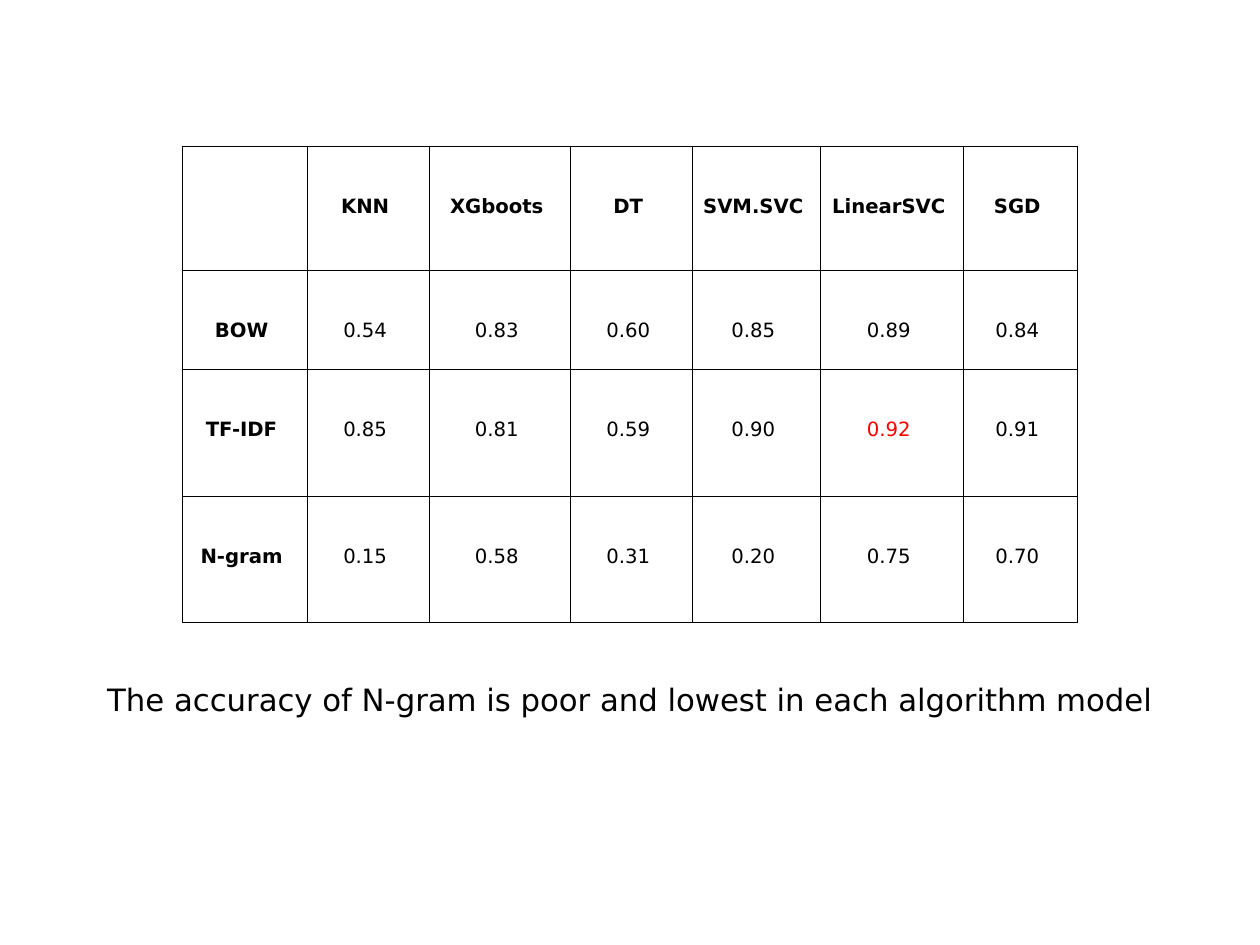
from dataclasses import dataclass

from lxml.etree import SubElement
from pptx import Presentation
from pptx.dml.color import RGBColor as Rgb
from pptx.enum.text import MSO_ANCHOR as Anchor, PP_ALIGN as Align
from pptx.oxml.ns import qn
from pptx.util import Pt


@dataclass(frozen=True)
class Theme:
    """Colours, font and type sizes of the slide."""
    font: str = "DejaVu Sans"
    ink: str = "000000"
    best: str = "FF0000"
    paper: str = "FFFFFF"
    cell_size: int = 16
    caption_size: int = 25
    rule: int = 1


THEME = Theme()
MODELS = ["KNN", "XGboots", "DT", "SVM.SVC", "LinearSVC", "SGD"]
SCORES = {
    "BOW": [0.54, 0.83, 0.60, 0.85, 0.89, 0.84],
    "TF-IDF": [0.85, 0.81, 0.59, 0.90, 0.92, 0.91],
    "N-gram": [0.15, 0.58, 0.31, 0.20, 0.75, 0.70],
}
COLUMN_WIDTHS = [101.5, 99.4, 114.5, 99.4, 103.7, 116.6, 92.2]
ROW_HEIGHTS = [100.8, 80.6, 103, 103]
CAPTION = "The accuracy of N-gram is poor and lowest in each algorithm model"


def set_all(target, values):
    """Set each named attribute of the target."""
    for name, value in values.items():
        setattr(target, name, value)


def write(frame, text, size, color, bold=False):
    """Write one centred line into a text frame."""
    para = frame.paragraphs[0]
    para.alignment = Align.CENTER
    span = para.add_run()
    span.text = text
    set_all(span.font, {"name": THEME.font, "size": Pt(size), "bold": bold})
    span.font.color.rgb = Rgb.from_string(color)


def format_cell(cell):
    """Give a cell its borders, fill and margins."""
    properties = cell._tc.get_or_add_tcPr()
    for side in ("a:lnL", "a:lnR", "a:lnT", "a:lnB"):
        line = SubElement(properties, qn(side), w=str(Pt(THEME.rule)))
        fill = SubElement(line, qn("a:solidFill"))
        SubElement(fill, qn("a:srgbClr"), val=THEME.ink)
    cell.fill.solid()
    cell.fill.fore_color.rgb = Rgb.from_string(THEME.paper)
    set_all(cell, {
        "margin_left": Pt(4), "margin_right": Pt(9.5),
        "margin_top": Pt(40), "margin_bottom": Pt(4),
        "vertical_anchor": Anchor.TOP,
    })


def add_score_table(page, left, top):
    """Add the accuracy table with its best score marked."""
    table = page.shapes.add_table(
        len(ROW_HEIGHTS), len(COLUMN_WIDTHS), Pt(left), Pt(top),
        Pt(sum(COLUMN_WIDTHS)), Pt(sum(ROW_HEIGHTS))).table
    set_all(table, {"first_row": False, "horz_banding": False})
    for column, width in zip(table.columns, COLUMN_WIDTHS):
        column.width = Pt(width)
    for row, height in zip(table.rows, ROW_HEIGHTS):
        row.height = Pt(height)

    best = max(max(scores) for scores in SCORES.values())
    rows = [["", *MODELS]] + [[name, *scores] for name, scores in SCORES.items()]
    for row, values in zip(table.rows, rows):
        for cell, value in zip(row.cells, values):
            format_cell(cell)
            is_label = isinstance(value, str)
            text = value if is_label else f"{value:.2f}"
            color = THEME.best if value == best else THEME.ink
            if text:
                write(cell.text_frame, text, THEME.cell_size, color, is_label)


def add_caption(page, text, left, top, width, height):
    """Add the centred conclusion below the table."""
    box = page.shapes.add_textbox(Pt(left), Pt(top), Pt(width), Pt(height))
    sides = ("left", "right", "top", "bottom")
    set_all(box.text_frame, {f"margin_{side}": Pt(4) for side in sides})
    set_all(box.text_frame, {"word_wrap": True, "vertical_anchor": Anchor.MIDDLE})
    write(box.text_frame, text, THEME.caption_size, THEME.ink)


def main():
    """Build and save the slide."""
    deck = Presentation()
    set_all(deck, {"slide_width": Pt(1024), "slide_height": Pt(768)})
    page = deck.slides.add_slide(deck.slide_layouts[6])
    add_score_table(page, 148.3, 118.8)
    add_caption(page, CAPTION, 48, 549.5, 927.5, 38)
    deck.save("out.pptx")


if __name__ == "__main__":
    main()
